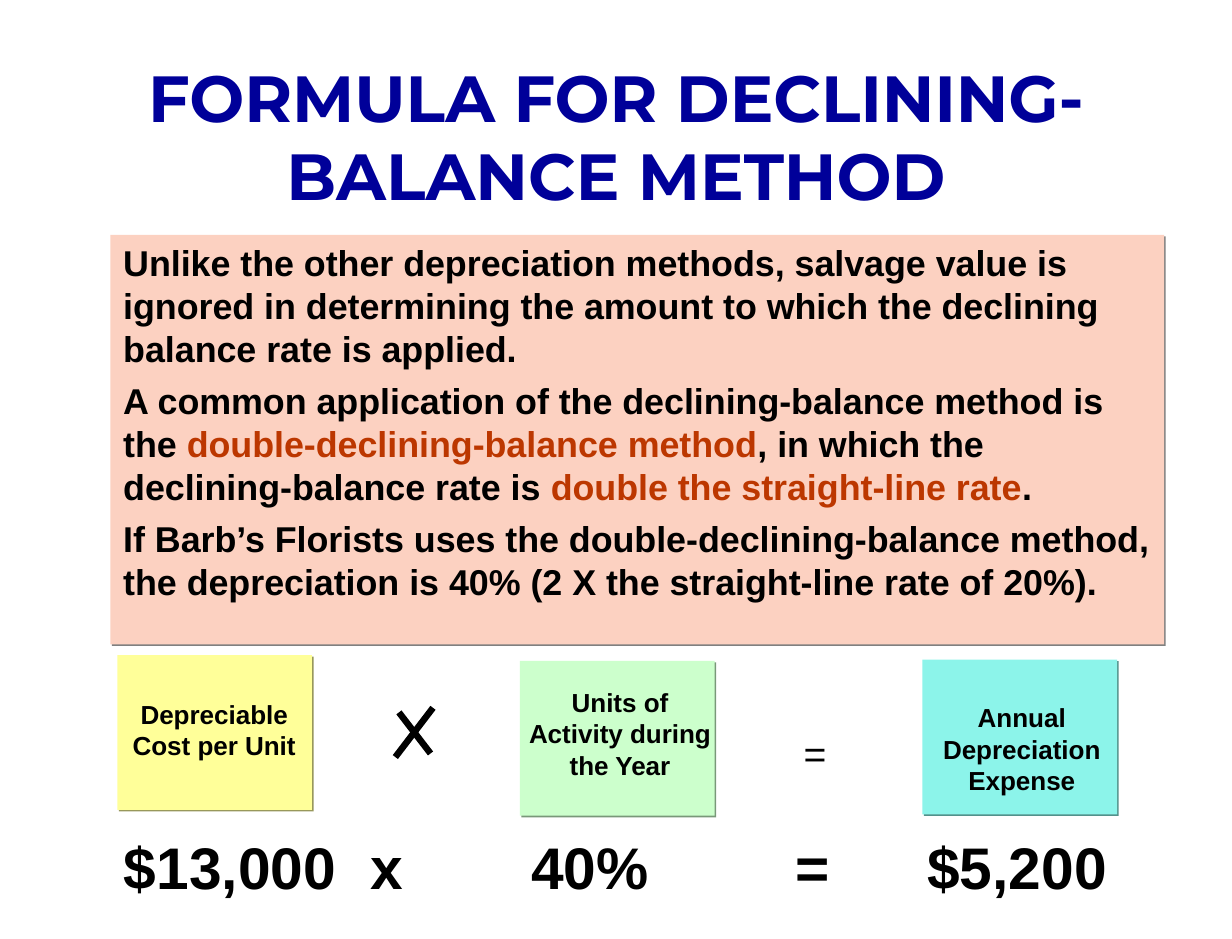
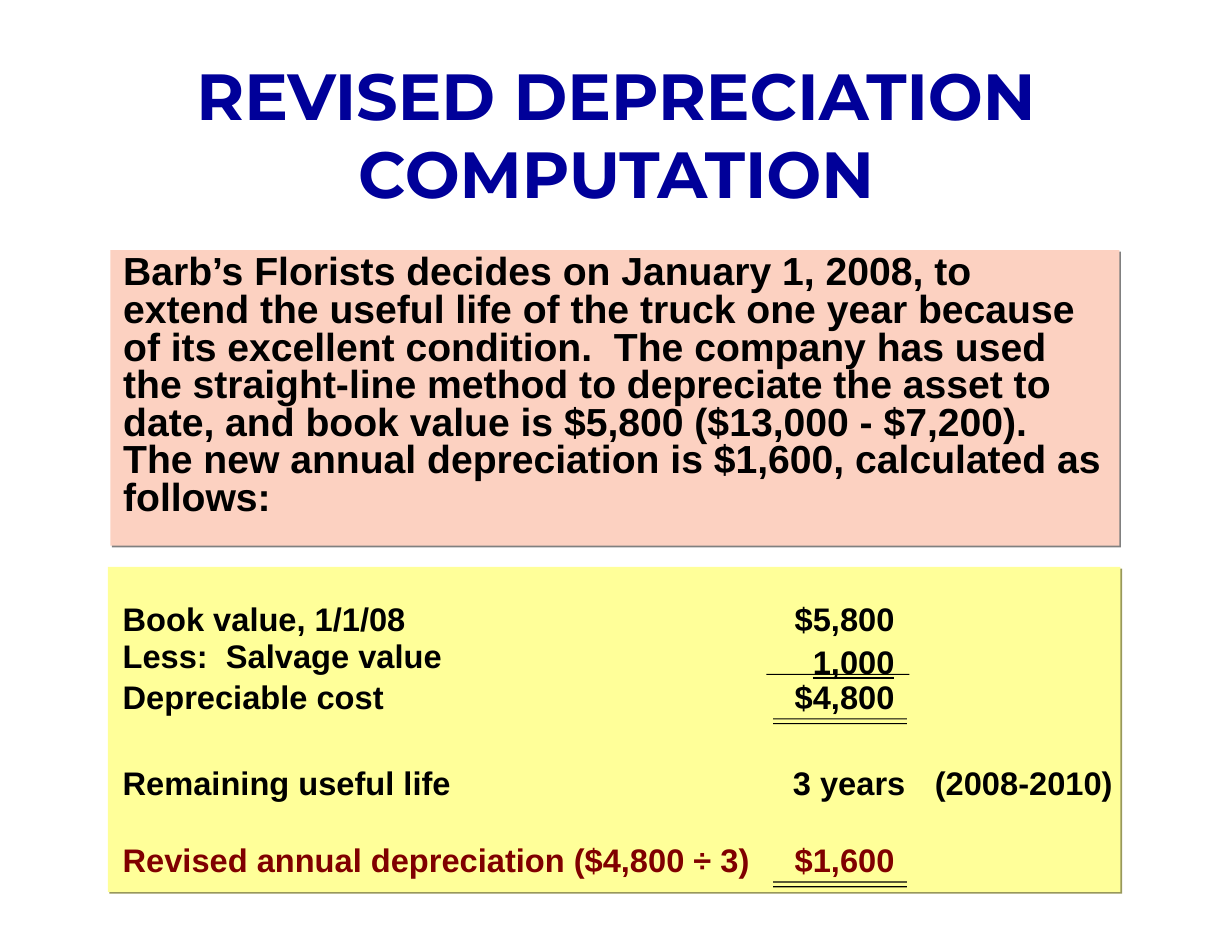
import pptx
import pptx.util
import pptx.dml.color
import pptx.enum.shapes
import pptx.enum.text
import pptx.oxml
import pptx.oxml.ns

Pt = pptx.util.Pt
RGBColor = pptx.dml.color.RGBColor
Align = pptx.enum.text.PP_ALIGN
Shape = pptx.enum.shapes.MSO_SHAPE

BLACK = RGBColor(0x00, 0x00, 0x00)
NAVY = RGBColor(0x00, 0x00, 0x99)
RUST = RGBColor(0xBC, 0x37, 0x00)
MAROON = RGBColor(0x80, 0x00, 0x00)
PEACH, PEACH_SHADE = RGBColor(0xFC, 0xD1, 0xC1), RGBColor(0x80, 0x80, 0x80)
YELLOW, YELLOW_SHADE = RGBColor(0xFF, 0xFF, 0x99), RGBColor(0x98, 0x98, 0x5B)
GREEN, GREEN_SHADE = RGBColor(0xCC, 0xFF, 0xCC), RGBColor(0x79, 0x98, 0x79)
AQUA, AQUA_SHADE = RGBColor(0x8C, 0xF4, 0xEA), RGBColor(0x53, 0x91, 0x8B)

PANEL_LEFT = 67.68
CARD_SIZE = (119.5, 95)

# A paragraph is a string, or a list of (text, colour) pieces.
METHOD_NOTES = [
    "Unlike the other depreciation methods, salvage value is ignored in "
    "determining the amount to which the declining balance rate is applied.",
    [("A common application of the declining-balance method is the ", BLACK),
     ("double-declining-balance method", RUST),
     (", in which the declining-balance rate is ", BLACK),
     ("double the straight-line rate", RUST),
     (".", BLACK)],
    "If Barb’s Florists uses the double-declining-balance method, the "
    "depreciation is 40% (2 X the straight-line rate of 20%).",
]

# Card left and top, fill, shadow, lines, then label left, top and width
CARDS = [
    ((319, 405.4), GREEN, GREEN_SHADE,
     ["Units of", "Activity during the Year"], (313.2, 417.6, 134.6)),
    ((566, 404.6), AQUA, AQUA_SHADE,
     ["Annual Depreciation Expense"], (568, 427, 118)),
    ((72, 401.8), YELLOW, YELLOW_SHADE,
     ["Depreciable", "Cost per Unit"], (74.2, 424.8, 114.5)),
]
TIMES_STROKES = [((242.6, 464.4), (265.7, 434.2)),
                 ((244.8, 437), (264.2, 462.2))]

EQUATION = ["$13,000", "x", "40%", "=", "$5,200"]
EQUATION_STOPS = [151, 250, 412, 493]

REVISION_NOTE = [
    "Barb’s Florists decides on January 1, 2008, to extend the useful life of "
    "the truck one year because of its excellent condition.  The company has "
    "used the straight-line method to depreciate the asset to date, and book "
    "value is $5,800 ($13,000 - $7,200).  The new annual depreciation is "
    "$1,600, calculated as follows:"]

# Text, left, top, colour
LABEL_X, AMOUNT_X, YEARS_X = 68.2, 480.6, 566.6
COMPUTATION = [
    ("Book value, 1/1/08", LABEL_X, 363.6, BLACK),
    ("$5,800", AMOUNT_X, 363.6, BLACK),
    ("Less:  Salvage value", LABEL_X, 386.6, BLACK),
    ("Depreciable cost", LABEL_X, 411.8, BLACK),
    ("$4,800", AMOUNT_X, 411.8, BLACK),
    ("Remaining useful life", LABEL_X, 464.4, BLACK),
    ("3 years", 479.5, 464.4, BLACK),
    ("(2008-2010)", YEARS_X, 464.4, BLACK),
    ("Revised annual depreciation ($4,800 ÷ 3)", LABEL_X, 511.9, MAROON),
    ("$1,600", AMOUNT_X, 511.9, MAROON),
]
SINGLE_RULE = (470.2, 413.3, 87.8)
DOUBLE_RULE_TOPS = [440.6, 540.7]
DOUBLE_RULE_GAP = 2.9


def lengths(*values):
    return [Pt(value) for value in values]


def write_text(shape, paras, size, font="Arial", color=BLACK, bold=True,
               align=Align.LEFT, inset=7.2, space_before=0, line_spacing=None,
               underline=None, stops=()):
    frame = shape.text_frame
    frame.word_wrap = True
    frame.vertical_anchor = pptx.enum.text.MSO_ANCHOR.TOP
    frame.margin_left = frame.margin_right = Pt(inset)
    frame.margin_top = frame.margin_bottom = Pt(3.6)
    for index, pieces in enumerate(paras):
        para = frame.add_paragraph() if index else frame.paragraphs[0]
        para.alignment = align
        if index:
            para.space_before = Pt(space_before)
        if line_spacing:
            para.line_spacing = line_spacing
        if stops:
            tab_list = pptx.oxml.parse_xml(
                f'<a:tabLst {pptx.oxml.ns.nsdecls("a")}>'
                + "".join(f'<a:tab pos="{Pt(stop)}" algn="l"/>' for stop in stops)
                + "</a:tabLst>")
            para._p.get_or_add_pPr().append(tab_list)
        if isinstance(pieces, str):
            pieces = [(pieces, color)]
        for text, piece_color in pieces:
            span = para.add_run()
            span.text = text
            span.font.name = font
            span.font.size = Pt(size)
            span.font.bold = bold
            span.font.underline = underline
            span.font.color.rgb = piece_color


def add_text(page, bounds, paras, size, **style):
    box = page.shapes.add_textbox(*lengths(*bounds))
    write_text(box, paras, size, **style)


def add_rectangle(page, bounds, fill, shade=None):
    """Add a borderless rectangle, with a hard drop shadow if shade is given."""
    box = page.shapes.add_shape(Shape.RECTANGLE, *lengths(*bounds))
    box.fill.solid()
    box.fill.fore_color.rgb = fill
    box.line.fill.background()
    box.shadow.inherit = False
    if shade is not None:
        effects = box._element.spPr.find(pptx.oxml.ns.qn("a:effectLst"))
        effects.append(pptx.oxml.parse_xml(
            f'<a:outerShdw {pptx.oxml.ns.nsdecls("a")} dist="{Pt(1.4)}" '
            f'dir="2700000" algn="ctr" rotWithShape="0">'
            f'<a:srgbClr val="{shade}"/></a:outerShdw>'))
    return box


def add_stroke(page, start, end):
    stroke = page.shapes.add_connector(
        pptx.enum.shapes.MSO_CONNECTOR.STRAIGHT, *lengths(*start, *end))
    stroke.line.color.rgb = BLACK
    stroke.line.width = Pt(4)
    stroke._element.spPr.append(pptx.oxml.parse_xml(
        f'<a:effectLst {pptx.oxml.ns.nsdecls("a")}/>'))


def add_page(deck, title, title_top):
    page = deck.slides.add_slide(deck.slide_layouts[6])
    add_text(page, (PANEL_LEFT, title_top, 620.64, 103), [title], 40,
             font="Montserrat", color=NAVY, align=Align.CENTER)
    return page


def build_formula(deck):
    page = add_page(deck, "FORMULA FOR DECLINING-BALANCE METHOD", 31.7)
    panel = add_rectangle(page, (PANEL_LEFT, 144, 646.6, 251.3), PEACH, PEACH_SHADE)
    write_text(panel, METHOD_NOTES, 22, inset=7.9, space_before=5.5)
    for corner, fill, shade, lines, (left, top, width) in CARDS:
        add_rectangle(page, (*corner, *CARD_SIZE), fill, shade)
        add_text(page, (left, top, width, 64.8), lines, 16, align=Align.CENTER)
    for start, end in TIMES_STROKES:
        add_stroke(page, start, end)
    add_text(page, (69, 506.2, 634, 50.4), ["\t".join(EQUATION)], 36,
             stops=EQUATION_STOPS)
    add_text(page, (486, 444.2, 30.2, 36), ["="], 24, bold=False)


def build_revision(deck):
    page = add_page(deck, "REVISED DEPRECIATION COMPUTATION", 30.2)
    panel = add_rectangle(page, (PANEL_LEFT, 153.4, 619.2, 181.4), PEACH, PEACH_SHADE)
    write_text(panel, REVISION_NOTE, 24, inset=7.9, line_spacing=0.8)
    add_rectangle(page, (66.2, 347.8, 621.4, 199.4), YELLOW, YELLOW_SHADE)
    for text, left, top, color in COMPUTATION:
        width = 410 if left == LABEL_X else 125
        add_text(page, (left, top, width, 31), [text], 20, color=color)
    add_text(page, (AMOUNT_X, 390.2, 76.3, 31), ["\t1,000"], 20,
             underline=True, stops=[11.1])
    rules = [SINGLE_RULE] + [(474.5, top + offset, 82.1)
                             for top in DOUBLE_RULE_TOPS
                             for offset in (0, DOUBLE_RULE_GAP)]
    for left, top, width in rules:
        add_rectangle(page, (left, top, width, 0.72), BLACK)


def main():
    deck = pptx.Presentation()
    deck.slide_width, deck.slide_height = lengths(756, 576)
    build_formula(deck)
    build_revision(deck)
    deck.save("out.pptx")


if __name__ == "__main__":
    main()
